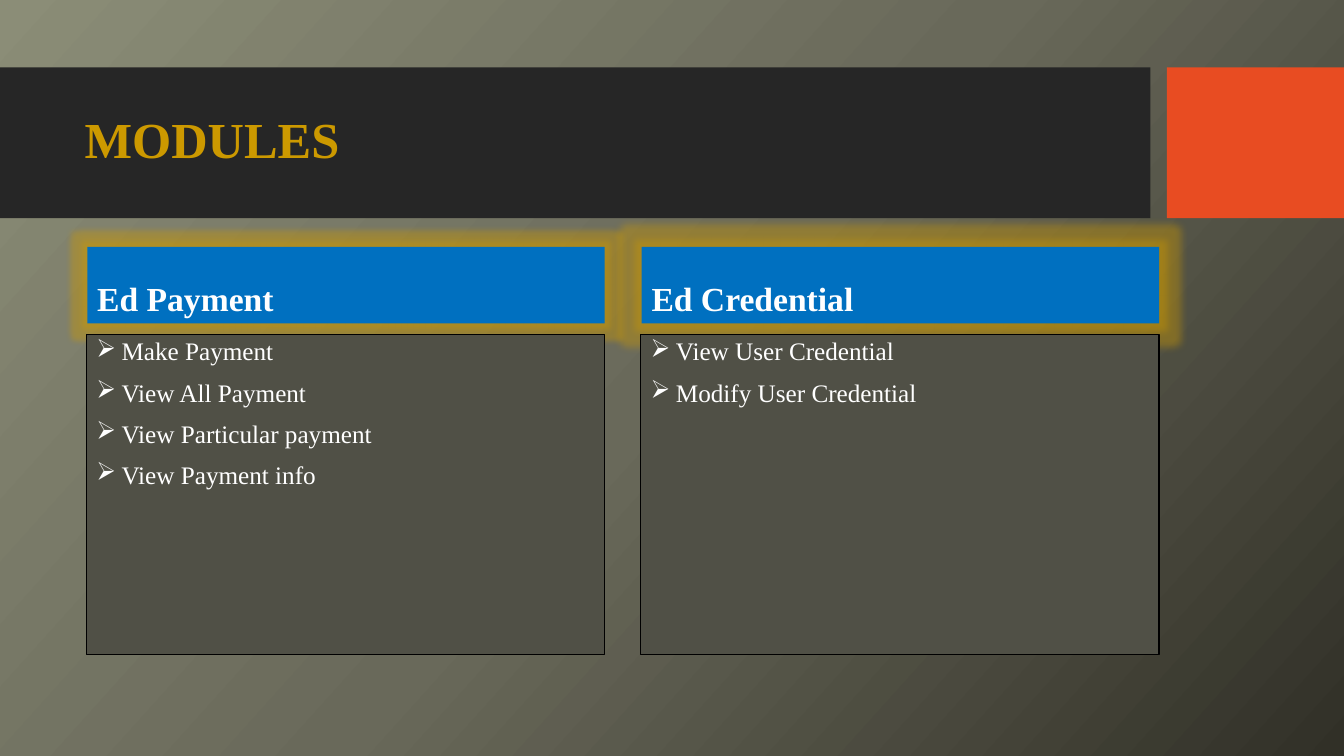
from lxml import etree
from pptx import Presentation
from pptx.dml.color import RGBColor
from pptx.enum.shapes import MSO_SHAPE
from pptx.enum.text import MSO_ANCHOR, PP_ALIGN
from pptx.oxml import parse_xml
from pptx.oxml.ns import nsdecls, qn
from pptx.util import Cm, Pt

RECTANGLE = MSO_SHAPE.RECTANGLE
TOP, MIDDLE, BOTTOM = MSO_ANCHOR.TOP, MSO_ANCHOR.MIDDLE, MSO_ANCHOR.BOTTOM
LEFT, JUSTIFY = PP_ALIGN.LEFT, PP_ALIGN.JUSTIFY
FONT = "Times New Roman"
COLORS = {
    "band": "262626",
    "accent": "E84C22",
    "gold": "CC9900",
    "header": "0070C0",
    "panel": "505046",
    "border": "000000",
    "text": "FFFFFF",
}
BACKGROUND_STOPS = [(0, "8B8D77"), (50, "69695A"), (100, "313027")]


def add_box(left, top, width, height, color):
    box = page.shapes.add_shape(RECTANGLE, Cm(left), Cm(top), Cm(width), Cm(height))
    box.shadow.inherit = False
    box.fill.solid()
    box.fill.fore_color.rgb = RGBColor.from_string(COLORS[color])
    box.line.fill.background()
    return box


def write_text(box, text, size, color, bold, anchor, align):
    frame = box.text_frame
    frame.text = text
    frame.word_wrap = True
    frame.vertical_anchor = anchor
    for index, para in enumerate(frame.paragraphs):
        para.alignment = align
        para.line_spacing = 0.9
        para.space_before = Pt(10 if index else 0)
        for span in para.runs:
            span.font.name = FONT
            span.font.size = Pt(size)
            span.font.bold = bold
            span.font.color.rgb = RGBColor.from_string(COLORS[color])


deck = Presentation()
deck.slide_width, deck.slide_height = Cm(33.87), Cm(19.05)
page = deck.slides.add_slide(deck.slide_layouts[5])

background = page.background.fill
background.gradient()
background.gradient_angle = 318
stop_list = background._fill._gradFill.find(qn("a:gsLst"))
for stop in list(stop_list):
    stop_list.remove(stop)
for position, color in BACKGROUND_STOPS:
    stop = etree.SubElement(stop_list, qn("a:gs"), pos=str(position * 1000))
    etree.SubElement(stop, qn("a:srgbClr"), val=color)

add_box(0, 1.7, 28.99, 3.8, "band")
add_box(29.41, 1.7, 4.46, 3.8, "accent")

title = page.shapes.title
title.left, title.top, title.width, title.height = Cm(1.88), Cm(2.08), Cm(26.7), Cm(3)
write_text(title, "MODULES", 36, "gold", True, MIDDLE, LEFT)
page.shapes._spTree.append(title._element)

modules = [
    ("Ed Payment", 8, ["Make Payment", "View All Payment", "View Particular payment", "View Payment info"]),
    ("Ed Credential", 11, ["View User Credential", "Modify User Credential"]),
]
for column, (name, glow_size, actions) in enumerate(modules):
    left = 2.18 + column * 13.97

    header = add_box(left + 0.02, 6.22, 13.04, 1.93, "header")
    write_text(header, name, 24, "text", True, BOTTOM, LEFT)
    header._element.spPr.find(qn("a:effectLst")).append(parse_xml(
        f'<a:glow {nsdecls("a")} rad="{Pt(glow_size)}"><a:srgbClr val="{COLORS["gold"]}">'
        '<a:alpha val="40000"/></a:srgbClr></a:glow>'
    ))

    panel = add_box(left, 8.42, 13.06, 8.07, "panel")
    panel.line.color.rgb = RGBColor.from_string(COLORS["border"])
    panel.line.width = Pt(0.75)
    write_text(panel, "\n".join(actions), 18, "text", False, TOP, JUSTIFY)
    for para in panel.text_frame.paragraphs:
        properties = para._p.get_or_add_pPr()
        properties.set("marL", str(Cm(0.635)))
        properties.set("indent", str(-Cm(0.635)))
        etree.SubElement(properties, qn("a:buChar"), char="➢")

deck.save("out.pptx")
